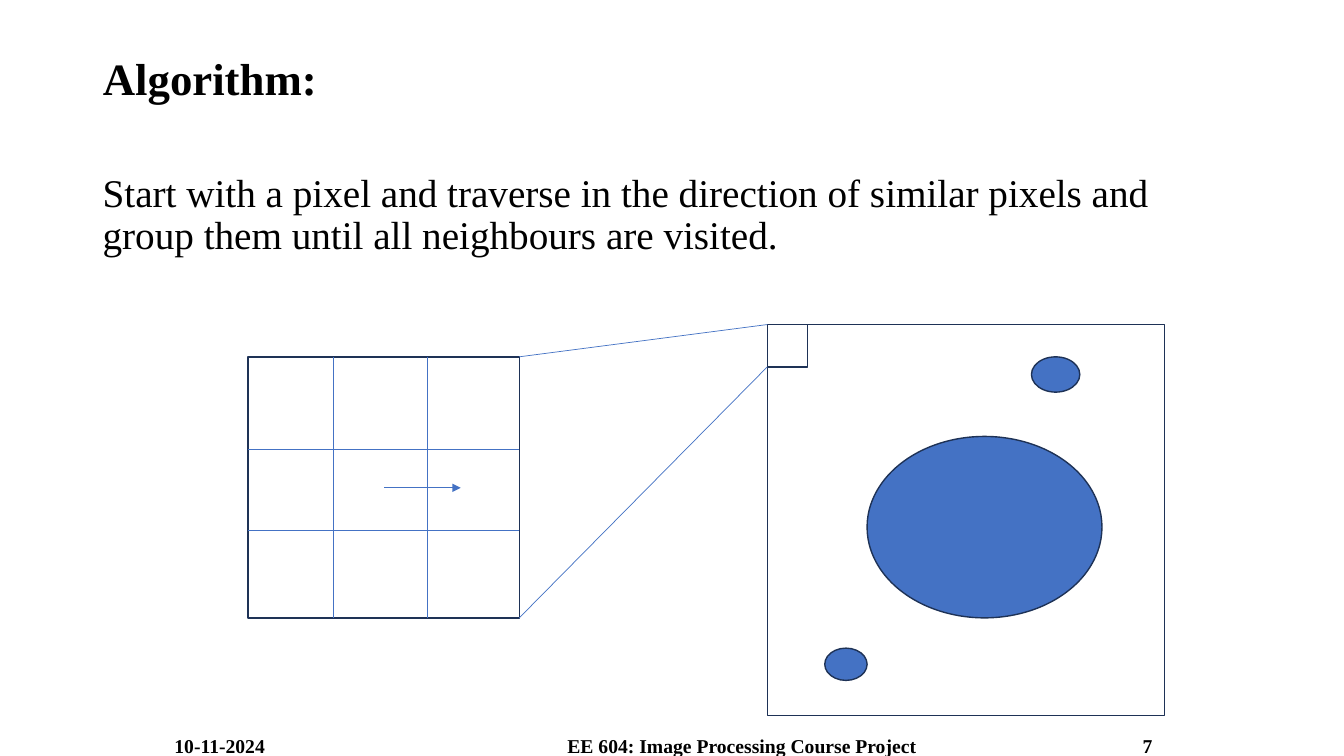
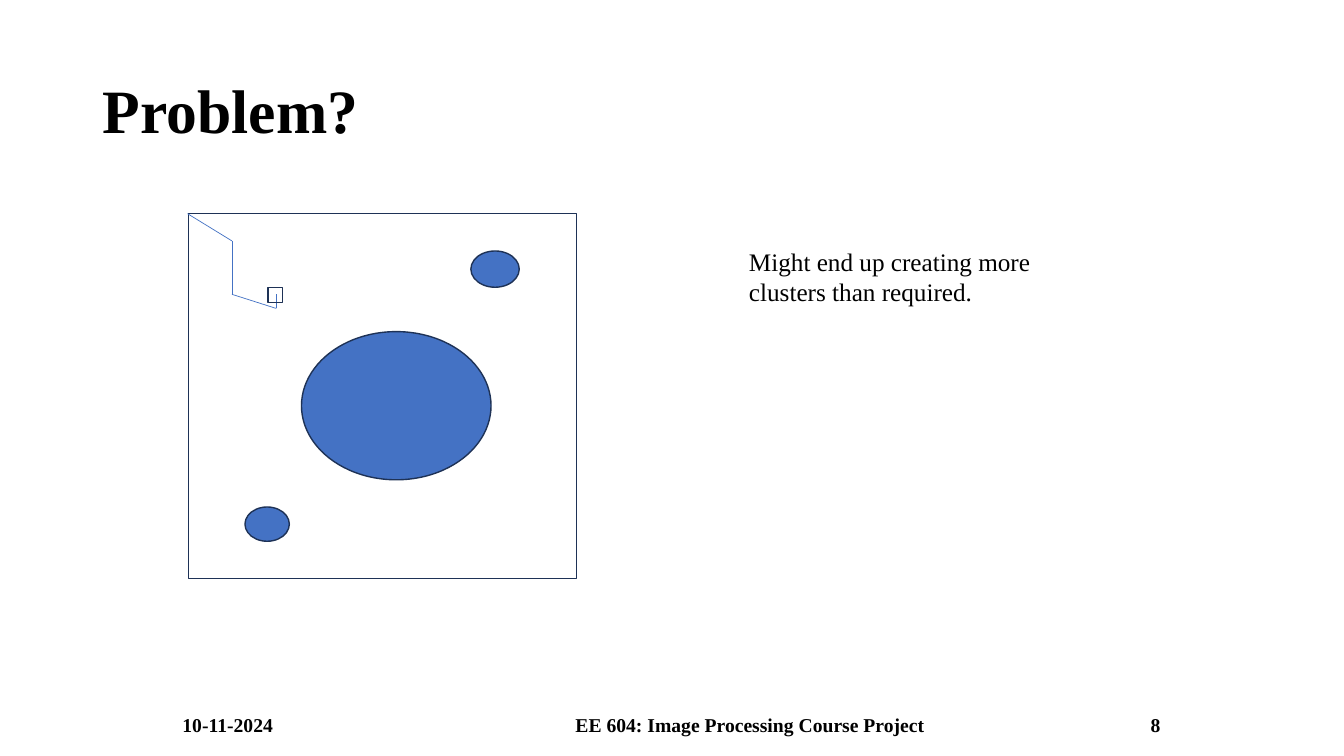
"""Build two slides on pixel clustering and its problem."""
import pptx
import pptx.util
import pptx.dml.color
import pptx.enum.shapes
import pptx.enum.text
import pptx.oxml
import pptx.oxml.ns
from lxml import etree

THEME = {
    "font": "Times New Roman",
    "ink": "000000", "paper": "FFFFFF", "blob": "4472C4", "edge": "1E3256",
    "head": 32, "big": 44, "body": 28, "note": 18, "foot": 14,
    "thin": 0.5, "rim": 1,
}
SCALE = 9144
SIZE = (1333, 750)
DATE, COURSE = "10-11-2024", "EE 604: Image Processing Course Project"
FOOT = {"width": 980, "height": 34, "stops": [("ctr", 563), ("r", 970)]}

GRID = (246, 354, 515, 613)
COLS, ROWS = (331, 424), (446, 526)
FRAME = (761, 322, 1155, 710)
PATCH = (761, 322, 801, 364)
TRAIL = [(186, 212), (230, 239), (230, 292), (274, 306), (274, 292)]

SLIDES = [
    {
        "title": ("Algorithm:", (92, 40, 1150, 80), "head"),
        "text": ("Start with a pixel and traverse in the direction of similar "
                 "pixels and group them until all neighbours are visited.",
                 (92, 167, 1150, 100), "body", 0.9),
        "parts": [
            ("box", GRID),
            *[("line", (x, GRID[1], x, GRID[3])) for x in COLS],
            *[("line", (GRID[0], y, GRID[2], y)) for y in ROWS],
            ("arrow", (381, 484, 457, 484)),
            ("box", FRAME),
            ("box", PATCH),
            ("line", (GRID[2], GRID[1], PATCH[0], PATCH[1])),
            ("line", (GRID[2], GRID[3], PATCH[0], PATCH[3])),
            ("blob", (860, 433, 1093, 613)),
            ("blob", (1023, 354, 1071, 389)),
            ("blob", (818, 643, 860, 675)),
        ],
        "foot": (173, 723, "7"),
    },
    {
        "title": ("Problem?", (92, 40, 1150, 145), "big"),
        "text": ("Might end up creating more clusters than required.",
                 (733, 239, 342, 71), "note", 1.0),
        "parts": [
            ("frame", (187, 212, 572, 574)),
            *[("line", a + b) for a, b in zip(TRAIL, TRAIL[1:])],
            ("frame", (266, 285, 280, 300)),
            ("blob", (299, 329, 487, 476)),
            ("blob", (467, 249, 515, 285)),
            ("blob", (243, 503, 287, 537)),
        ],
        "foot": (181, 702, "8"),
    },
]

KIND = pptx.enum.shapes.MSO_SHAPE
LOOKS = {
    "box": (KIND.RECTANGLE, "paper"),
    "frame": (KIND.RECTANGLE, None),
    "blob": (KIND.OVAL, "blob"),
}


def emu(*nums):
    """Turn px into EMU."""
    return [pptx.util.Emu(n * SCALE) for n in nums]


def tint(name):
    """Look up a theme colour."""
    return pptx.dml.color.RGBColor.from_string(THEME[name])


def apply(item, vals):
    """Set each named value on an item."""
    for key, val in vals.items():
        setattr(item, key, val)


def write(shape, text, size, bold=False, space=1.0, stops=()):
    """Fill a shape with one styled paragraph."""
    frame = shape.text_frame
    frame.text = text
    para = frame.paragraphs[0]
    apply(para, {"alignment": pptx.enum.text.PP_ALIGN.LEFT,
                 "line_spacing": space, "space_before": pptx.util.Pt(0)})
    if stops:
        tabs = etree.SubElement(para._p.get_or_add_pPr(),
                                pptx.oxml.ns.qn("a:tabLst"))
        for kind, pos in stops:
            etree.SubElement(tabs, pptx.oxml.ns.qn("a:tab"),
                             pos=str(pos * SCALE), algn=kind)
    for run in para.runs:
        apply(run.font, {"name": THEME["font"], "bold": bold,
                         "size": pptx.util.Pt(THEME[size])})
        run.font.color.rgb = tint("ink")


def draw(slide, kind, ends):
    """Draw a line, arrow, box or blob between two corners."""
    if kind in LOOKS:
        form, fill = LOOKS[kind]
        x, y, right, base = ends
        shape = slide.shapes.add_shape(form, *emu(x, y, right - x, base - y))
        shape.shadow.inherit = False
        if fill:
            shape.fill.solid()
            shape.fill.fore_color.rgb = tint(fill)
        else:
            shape.fill.background()
        color, width = "edge", "rim"
    else:
        shape = slide.shapes.add_connector(
            pptx.enum.shapes.MSO_CONNECTOR.STRAIGHT, *emu(*ends))
        color, width = "blob", "thin"
    shape.line.color.rgb = tint(color)
    shape.line.width = pptx.util.Pt(THEME[width])
    if kind not in LOOKS:
        if kind == "arrow":
            etree.SubElement(shape.line._get_or_add_ln(),
                             pptx.oxml.ns.qn("a:tailEnd"), type="triangle")
        etree.SubElement(shape._element.spPr, pptx.oxml.ns.qn("a:effectLst"))


def build(deck, data):
    """Add one slide with title, text, parts and footer."""
    slide = deck.slides.add_slide(deck.slide_layouts[5])
    text, place, size = data["title"]
    title = slide.shapes.title
    apply(title, dict(zip(("left", "top", "width", "height"), emu(*place))))
    write(title, text, size, True, 0.9)
    apply(title.text_frame, {
        "vertical_anchor": pptx.enum.text.MSO_ANCHOR.MIDDLE,
        "auto_size": pptx.enum.text.MSO_AUTO_SIZE.NONE, "word_wrap": True})

    text, place, size, space = data["text"]
    body = slide.shapes.add_textbox(*emu(*place))
    body.text_frame.word_wrap = True
    write(body, text, size, space=space)

    for kind, ends in data["parts"]:
        draw(slide, kind, ends)

    x, y, page = data["foot"]
    foot = slide.shapes.add_textbox(*emu(x, y, FOOT["width"], FOOT["height"]))
    apply(foot.text_frame, {"word_wrap": True, "margin_left": 0,
                            "margin_right": 0})
    write(foot, "\t".join((DATE, COURSE, page)), "foot", True,
          stops=FOOT["stops"])


def main():
    """Build and save the deck."""
    deck = pptx.Presentation()
    apply(deck, dict(zip(("slide_width", "slide_height"), emu(*SIZE))))
    for data in SLIDES:
        build(deck, data)
    deck.save("out.pptx")


if __name__ == "__main__":
    main()
